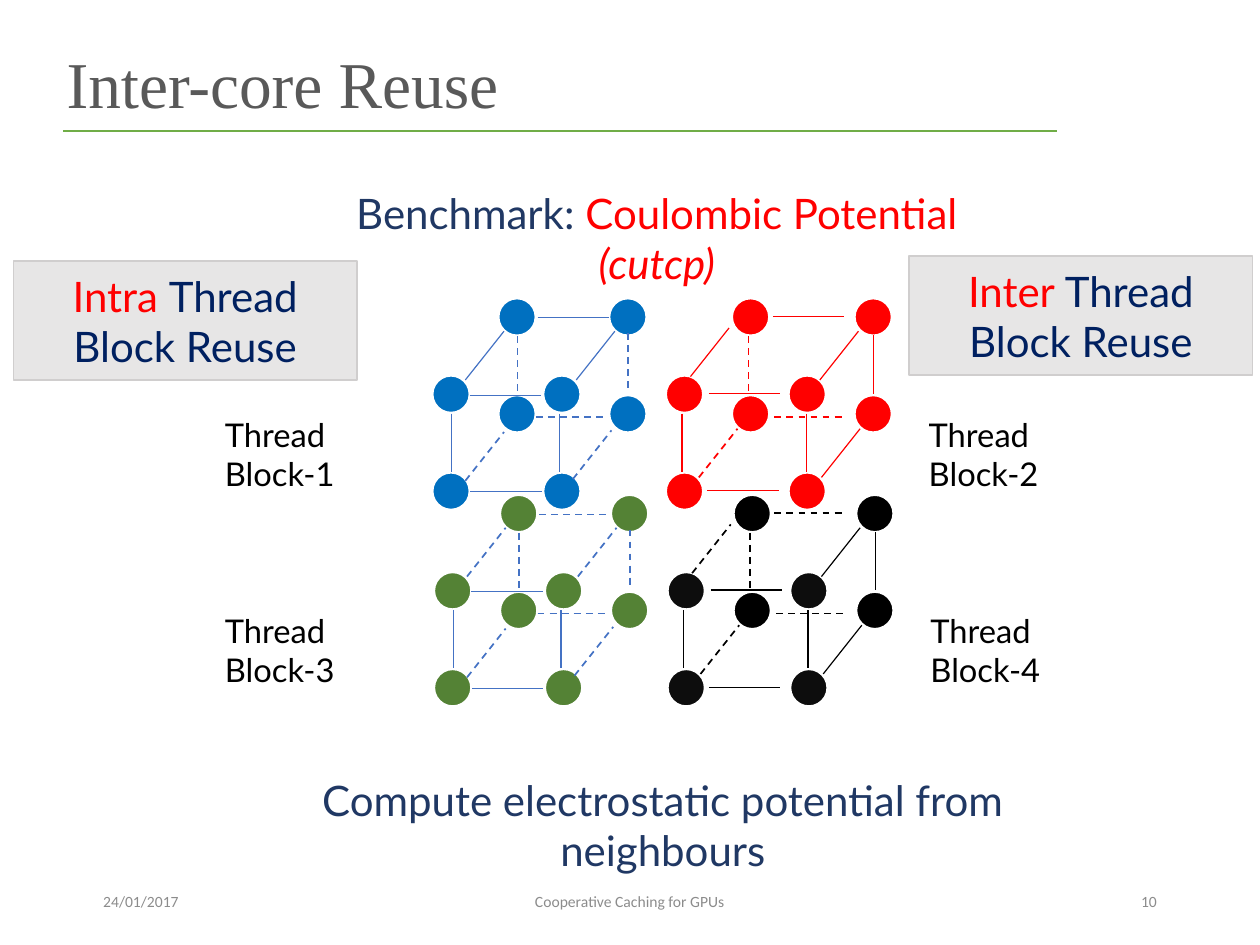
from lxml.etree import SubElement
from pptx import Presentation
from pptx.dml.color import RGBColor
from pptx.enum.dml import MSO_LINE
from pptx.enum.shapes import MSO_CONNECTOR as CONNECTOR, MSO_SHAPE as SHAPE
from pptx.enum.text import MSO_ANCHOR as ANCHOR, MSO_AUTO_SIZE as AUTO_SIZE, PP_ALIGN as ALIGN
from pptx.oxml.ns import qn
from pptx.util import Inches, Pt

WHITE = RGBColor(0xFF, 0xFF, 0xFF)
BLACK = RGBColor(0x00, 0x00, 0x00)
SOFT_BLACK = RGBColor(0x0D, 0x0D, 0x0D)
RED = RGBColor(0xFF, 0x00, 0x00)
BLUE = RGBColor(0x00, 0x70, 0xC0)
GREEN = RGBColor(0x54, 0x82, 0x35)
EDGE_BLUE = RGBColor(0x44, 0x72, 0xC4)
RULE_GREEN = RGBColor(0x70, 0xAD, 0x47)
NAVY = RGBColor(0x20, 0x38, 0x64)
DEEP_NAVY = RGBColor(0x00, 0x20, 0x60)
TITLE_GRAY = RGBColor(0x59, 0x59, 0x59)
FOOTER_GRAY = RGBColor(0x8C, 0x8C, 0x8C)
PANEL_FILL = RGBColor(0xE7, 0xE6, 0xE6)
PANEL_LINE = RGBColor(0xD0, 0xCE, 0xCE)

# The slide is a grid of square cells, ten to the inch; all places count cells.
COLUMNS, ROWS = 75, 56.25
ATOM = 2.3
CUBE_TOP, CUBE_PITCH = 17.72, 11.7
BACK_SHIFT, BACK_RISE, CUBE_DROP = 3.93, 4.6, 5.77

EDGE_VECTORS = {"depth": (2.3, -2.9), "drop": (0, 3.46), "across": (4.25, 0)}

# Edge starts, counted from each cube's top left corner.
LEFT_EDGES = {
    "depth top left": (2, 4.9), "depth top right": (8.6, 4.9),
    "depth bottom left": (2, 10.9), "depth bottom right": (8.4, 10.8),
    "drop front left": (1.2, 6.9), "drop front right": (7.6, 6.9),
    "drop back left": (5.1, 2.3), "drop back right": (11.7, 2.1),
    "across back top": (6.3, 1.2), "across back bottom": (6.2, 7.1),
    "across front top": (2.25, 5.8), "across front bottom": (2.3, 11.55),
}
RIGHT_EDGES = {
    "depth top left": (1.5, 4.7), "depth top right": (9.2, 4.9),
    "depth bottom left": (2, 10.7), "depth bottom right": (9.3, 10.7),
    "drop front left": (1, 6.9), "drop front right": (8.4, 6.9),
    "drop back left": (4.95, 2.3), "drop back right": (12.4, 2.25),
    "across back top": (6.4, 1.1), "across back bottom": (6.5, 7.1),
    "across front top": (2.6, 5.7), "across front bottom": (2.5, 11.5),
}
HIDDEN = {"depth bottom left", "drop back left", "across back bottom"}
HIDDEN_LEFT = HIDDEN | {"depth bottom right", "drop back right"}


def cells(count):
    return Inches(count / 10)


def add_run(paragraph, text, *, size, color, font="Lato", italic=None):
    run = paragraph.add_run()
    run.text = text
    run.font.size = Pt(size)
    run.font.name = font
    run.font.color.rgb = color
    run.font.italic = italic


def fill_text(shape, runs, *, align=ALIGN.LEFT, anchor=ANCHOR.TOP, **run_format):
    """Write (text, overrides) pairs as one paragraph inside a shape."""
    frame = shape.text_frame
    frame.word_wrap = True
    frame.auto_size = AUTO_SIZE.NONE
    frame.vertical_anchor = anchor
    paragraph = frame.paragraphs[0]
    paragraph.alignment = align
    for text, overrides in runs:
        add_run(paragraph, text, **{**run_format, **overrides})


def add_label(slide, box, *runs, **text_format):
    fill_text(slide.shapes.add_textbox(*map(cells, box)), runs, **text_format)


def add_filled(slide, kind, box, fill, line, width):
    shape = slide.shapes.add_shape(kind, *map(cells, box))
    shape.shadow.inherit = False
    shape.fill.solid()
    shape.fill.fore_color.rgb = fill
    shape.line.color.rgb = line
    shape.line.width = Pt(width)
    return shape


def add_line(slide, start, end, color, width, dashed=False):
    line = slide.shapes.add_connector(CONNECTOR.STRAIGHT, *map(cells, (*start, *end)))
    line.line.color.rgb = color
    line.line.width = Pt(width)
    if dashed:
        line.line.dash_style = MSO_LINE.DASH
    SubElement(line._element.spPr, qn("a:effectLst"))


def add_cube(slide, left, top, width, edges, hidden, front, back, edge_color):
    """Draw eight atoms, then the edges; hidden edges are dashed."""
    for shift, rise, color in ((0, BACK_RISE, front), (BACK_SHIFT, 0, back)):
        for across in (0, width):
            for drop in (0, CUBE_DROP):
                box = (left + shift + across, top + rise + drop, ATOM, ATOM)
                add_filled(slide, SHAPE.OVAL, box, color, WHITE, 1.5)
    for edge, (x, y) in edges.items():
        dx, dy = EDGE_VECTORS[edge.split()[0]]
        dashed = edge in hidden
        add_line(slide, (left + x, top + y), (left + x + dx, top + y + dy),
                 edge_color, 0.75 if dashed else 0.5, dashed)


def add_reuse_panel(slide, left, top, scope):
    panel = add_filled(slide, SHAPE.RECTANGLE, (left, top, 20.45, 7.07),
                       PANEL_FILL, PANEL_LINE, 0.75)
    fill_text(panel, [(scope, {"color": RED}), ("Thread Block Reuse", {})],
              size=18, color=DEEP_NAVY, align=ALIGN.CENTER, anchor=ANCHOR.MIDDLE)


def add_title(slide):
    title = slide.shapes.title
    title.left, title.top, title.width, title.height = map(cells, (2.97, 2.07, 69.2, 5.7))
    fill_text(title, [("Inter-core Reuse", {})], size=28, color=TITLE_GRAY,
              font="Times New Roman", anchor=ANCHOR.MIDDLE)
    add_line(slide, (3.77, 7.8), (62.9, 7.8), RULE_GREEN, 1)


def add_footer(slide):
    for text, left, width, align in (
        ("24/01/2017", 5.16, 16.88, ALIGN.LEFT),
        ("Cooperative Caching for GPUs", 24.84, 25.31, ALIGN.CENTER),
        ("10", 52.97, 16.88, ALIGN.RIGHT),
    ):
        add_label(slide, (left, 52.13, width, 3), (text, {}), size=6.75, font="Calibri",
                  color=FOOTER_GRAY, align=align, anchor=ANCHOR.MIDDLE)


def add_thread_blocks(slide):
    top_back = {"across back top", "depth top left"}
    lower_top = CUBE_TOP + CUBE_PITCH
    for cube in (
        (25.7, CUBE_TOP, 6.6, LEFT_EDGES, HIDDEN_LEFT, BLUE, BLUE, EDGE_BLUE),
        (39.6, CUBE_TOP, 7.3, RIGHT_EDGES, HIDDEN, RED, RED, RED),
        (25.8, lower_top, 6.6, LEFT_EDGES, HIDDEN_LEFT | top_back | {"depth top right"},
         GREEN, GREEN, EDGE_BLUE),
        (39.7, lower_top, 7.3, RIGHT_EDGES, HIDDEN | top_back, SOFT_BLACK, BLACK, BLACK),
    ):
        add_cube(slide, *cube)
    for number, left in enumerate((12.4, 54.3, 12.4, 54.4)):
        top = 24.2 + number // 2 * 11.65
        add_label(slide, (left, top, 13.3, 3.4), (f"Thread Block-{number + 1}", {}),
                  size=14, color=BLACK)


def main():
    deck = Presentation()
    deck.slide_width, deck.slide_height = cells(COLUMNS), cells(ROWS)
    slide = deck.slides.add_slide(deck.slide_layouts[5])
    add_title(slide)
    add_footer(slide)
    add_label(slide, (17.9, 10.67, 42.4, 7.1), ("Benchmark: ", {"color": NAVY}),
              ("Coulombic Potential ", {}), ("(cutcp)", {"italic": True}),
              size=18, color=RED, align=ALIGN.CENTER)
    add_thread_blocks(slide)
    add_label(slide, (15.4, 45.6, 48.1, 4),
              ("Compute electrostatic potential from neighbours", {}),
              size=18, color=NAVY, align=ALIGN.CENTER)
    add_reuse_panel(slide, 0.8, 15.56, "Intra ")
    add_reuse_panel(slide, 54.12, 15.25, "Inter ")
    deck.save("out.pptx")


if __name__ == "__main__":
    main()
